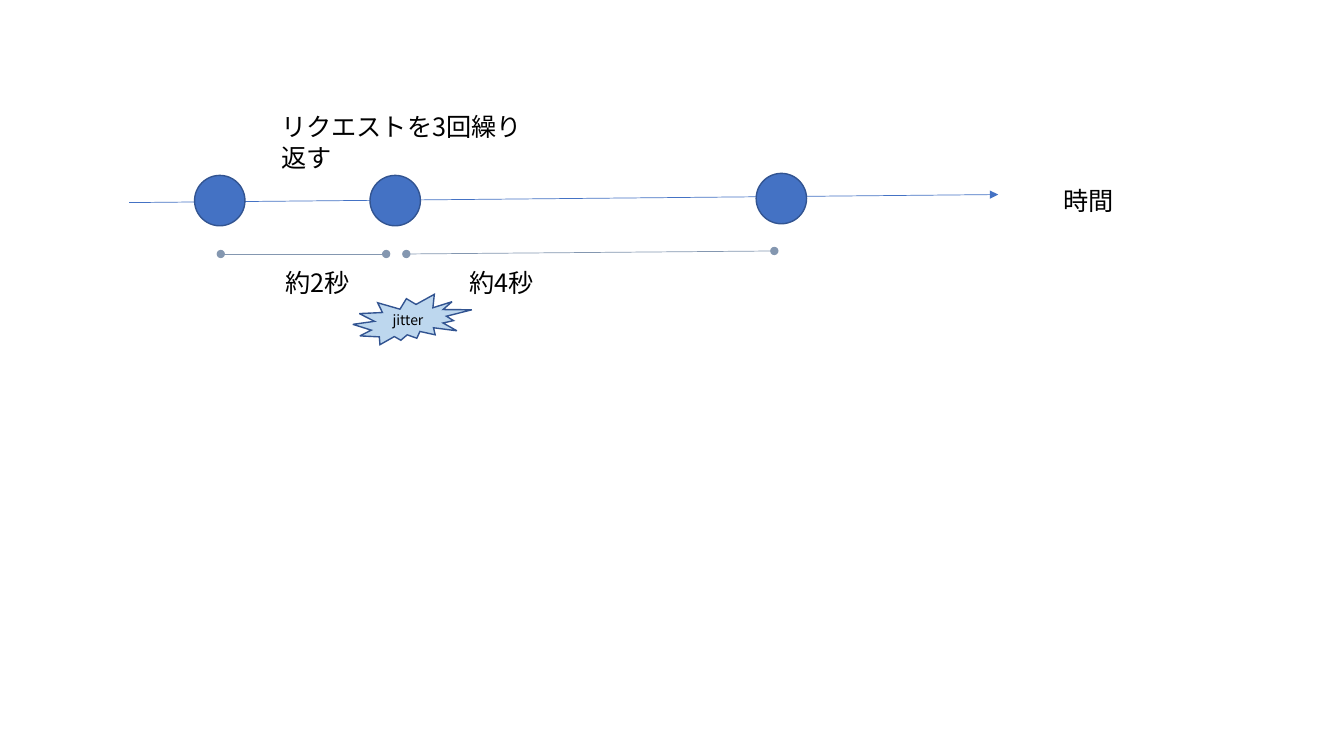
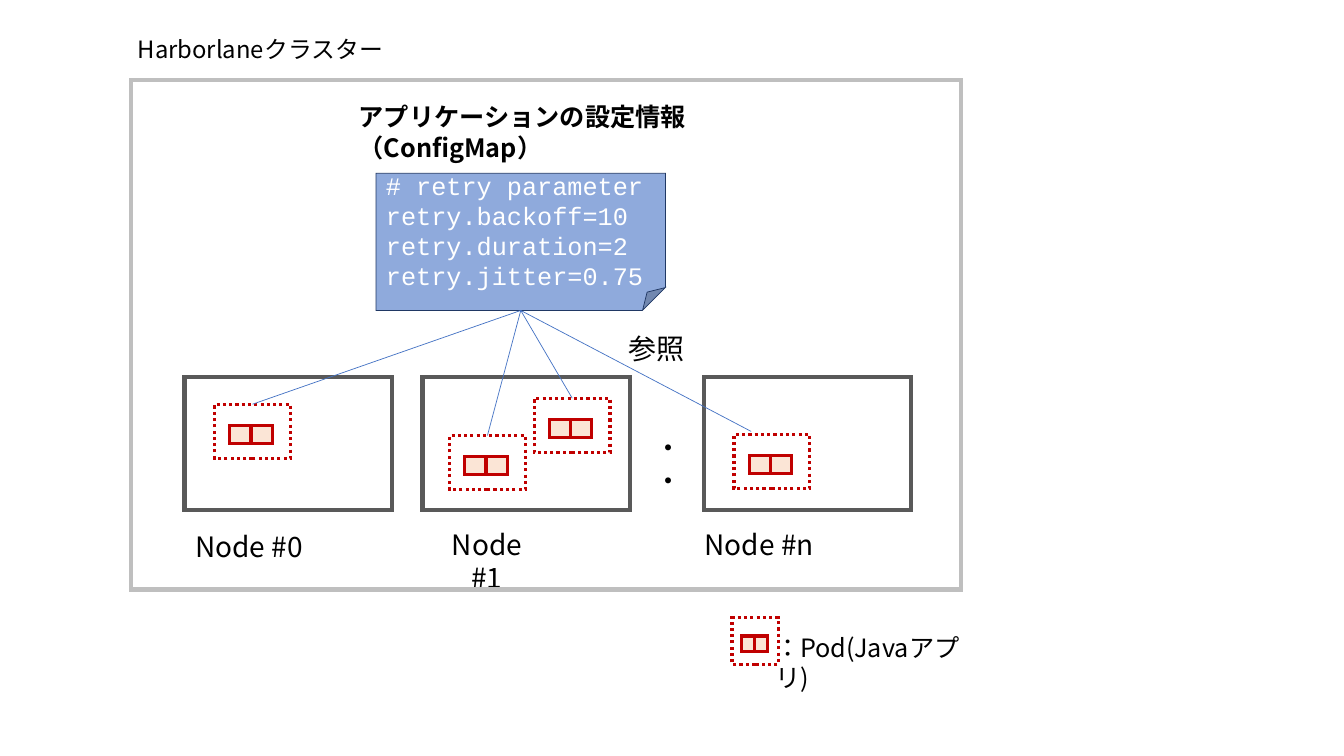
from collections import namedtuple

from lxml.etree import SubElement
from pptx import Presentation
from pptx.dml.color import RGBColor
from pptx.enum.dml import MSO_LINE_DASH_STYLE as Dash
from pptx.enum.lang import MSO_LANGUAGE_ID as Language
from pptx.enum.shapes import MSO_CONNECTOR as Connector, MSO_SHAPE as Shape
from pptx.enum.text import MSO_ANCHOR as Anchor, PP_ALIGN as Align
from pptx.oxml.ns import qn
from pptx.util import Emu, Pt

Box = namedtuple("Box", "left top width height")

EMU_PER_PX = 9144
SANS, MONO = "Noto Sans CJK JP", "Courier New"
BLACK, WHITE = "000000", "FFFFFF"
BLUE, BLUE_EDGE, SPAN_GREY = "4472C4", "325491", "8497B0"
BURST_FILL, NOTE_FILL, NOTE_EDGE = "BDD7EE", "8FAADC", "203864"
POD_RED, POD_FILL = "C00000", "FBE5D6"
FRAME_GREY, NODE_GREY = "BFBFBF", "595959"
TOP, BOTTOM = 0, 2


def px(length):
    return Emu(round(length * EMU_PER_PX))


def color(value):
    return RGBColor.from_string(value)


def inside(box, left, top, width, height):
    return Box(box.left + left, box.top + top, width, height)


def write(shape, text, size=18, font=SANS, ink=BLACK, bold=False,
          align=Align.LEFT, anchor=Anchor.TOP):
    frame = shape.text_frame
    frame.word_wrap = True
    frame.vertical_anchor = anchor
    for index, line in enumerate(text.split("\n")):
        para = frame.add_paragraph() if index else frame.paragraphs[0]
        para.alignment = align
        span = para.add_run()
        span.text = line
        span.font.size = Pt(size)
        span.font.name = font
        span.font.bold = bold
        span.font.color.rgb = color(ink)
        span.font.language_id = Language.JAPANESE
        SubElement(span.font._element, qn("a:ea")).set("typeface", font)


def add_text(page, box, text, **style):
    shape = page.shapes.add_textbox(*map(px, box))
    write(shape, text, **style)


def add_box(shapes, kind, box, fill=None, edge=None, weight=1, dash=None):
    shape = shapes.add_shape(kind, *map(px, box))
    shape.shadow.inherit = False
    if fill:
        shape.fill.solid()
        shape.fill.fore_color.rgb = color(fill)
    else:
        shape.fill.background()
    if edge:
        shape.line.color.rgb = color(edge)
        shape.line.width = Pt(weight)
        if dash:
            shape.line.dash_style = dash
        SubElement(shape.line._get_or_add_ln(), qn("a:miter")).set("lim", "800000")
    else:
        shape.line.fill.background()
    return shape


def add_line(page, start, end, ink=BLUE, head=None, tail=None):
    line = page.shapes.add_connector(Connector.STRAIGHT, *map(px, start + end))
    line.line.color.rgb = color(ink)
    line.line.width = Pt(0.5)
    for tag, kind in (("a:headEnd", head), ("a:tailEnd", tail)):
        if kind:
            SubElement(line.line._get_or_add_ln(), qn(tag)).set("type", kind)
    SubElement(line._element.spPr, qn("a:effectLst"))
    return line


def add_timeline(page, box):
    def at(left, top):
        return box.left + left, box.top + top

    add_line(page, at(0, 95), at(862, 87), tail="triangle")
    for left, top in ((65, 68), (239, 68), (622, 66)):
        add_box(page.shapes, Shape.OVAL, inside(box, left, top, 50, 50), BLUE, BLUE_EDGE)
    for start, end in ((at(91, 146), at(255, 146)), (at(275, 146), at(640, 143))):
        add_line(page, start, end, SPAN_GREY, head="oval", tail="oval")

    burst = add_box(page.shapes, Shape.EXPLOSION2, inside(box, 222, 186, 118, 50),
                    BURST_FILL, BLUE_EDGE)
    write(burst, "jitter", size=10, align=Align.CENTER, anchor=Anchor.MIDDLE)

    for text, left, top, width in (
        ("リクエストを3回繰り返す", 141, 0, 263),
        ("約2秒", 145, 154, 84),
        ("約4秒", 328, 154, 85),
        ("時間", 917, 73, 71),
    ):
        add_text(page, inside(box, left, top, width, 40), text)


def add_pod(page, box):
    group = page.shapes.add_group_shape()
    border = add_box(group.shapes, Shape.RECTANGLE, box, WHITE, POD_RED, 2.25,
                     Dash.ROUND_DOT)
    cell_width = box.width * 0.28
    for column in range(2):
        cell = inside(box, box.width * 0.2 + column * cell_width, box.height * 0.39,
                      cell_width, box.height * 0.33)
        add_box(group.shapes, Shape.RECTANGLE, cell, POD_FILL, POD_RED, 2.25)
    return border


def add_node(page, box, name, label, pods):
    add_box(page.shapes, Shape.RECTANGLE, box, edge=NODE_GREY, weight=3)
    left, top, width = label
    add_text(page, inside(box, left, top, width, 67), name, size=20, align=Align.CENTER)
    return [add_pod(page, inside(box, *corner, 75, 54)) for corner in pods]


def add_config_note(page, box):
    note = add_box(page.shapes, Shape.FOLDED_CORNER, box, NOTE_FILL, NOTE_EDGE, 0.5)
    write(note, "# retry parameter\nretry.backoff=10\nretry.duration=2\nretry.jitter=0.75",
          font=MONO, ink=WHITE, anchor=Anchor.MIDDLE)
    return note


def add_cluster(page, box):
    note_box = inside(box, 243, 93, 287, 136)
    note = add_config_note(page, note_box)
    pods = []
    for name, left, label, corners in (
        ("Node #0", 53, (0, 146, 128), [(30, 27)]),
        ("Node #1", 289, (3, 144, 122), [(27, 58), (111, 21)]),
        ("Node #n", 568, (-9, 144, 128), [(30, 57)]),
    ):
        pods += add_node(page, inside(box, left, 295, 206, 132), name, label, corners)
    add_text(page, inside(box, 509, 343, 48, 44), "・・", size=20, align=Align.CENTER)
    add_box(page.shapes, Shape.RECTANGLE, box, edge=FRAME_GREY, weight=3)

    title = add_box(page.shapes, Shape.ROUNDED_RECTANGLE, inside(box, -7, -53, 307, 143))
    title.adjustments[0] = 0.09
    write(title, "Harborlaneクラスター", size=17)
    add_text(page, inside(box, 216, 17, 389, 71),
             "アプリケーションの設定情報（ConfigMap）", bold=True)

    source = (note_box.left + note_box.width / 2, note_box.top + note_box.height)
    last_end = (box.left + 615, box.top + 349)
    for pod in pods:
        line = add_line(page, source, last_end)
        line.begin_connect(note, BOTTOM)
        if pod is not pods[-1]:
            line.end_connect(pod, TOP)
    add_text(page, inside(box, 473, 245, 96, 44), "参照", size=20, align=Align.CENTER)


def add_legend(page, box):
    add_text(page, inside(box, 33, 9, 205, 40), "：Pod(Javaアプリ)")
    add_pod(page, inside(box, 0, 0, 46, 46))


def main():
    deck = Presentation()
    deck.slide_width, deck.slide_height = px(1333), px(750)
    blank = deck.slide_layouts[6]

    add_timeline(deck.slides.add_slide(blank), Box(128, 106, 988, 236))

    cluster_page = deck.slides.add_slide(blank)
    add_cluster(cluster_page, Box(130, 79, 823, 506))
    add_legend(cluster_page, Box(726, 613, 238, 49))

    deck.save("out.pptx")


if __name__ == "__main__":
    main()
